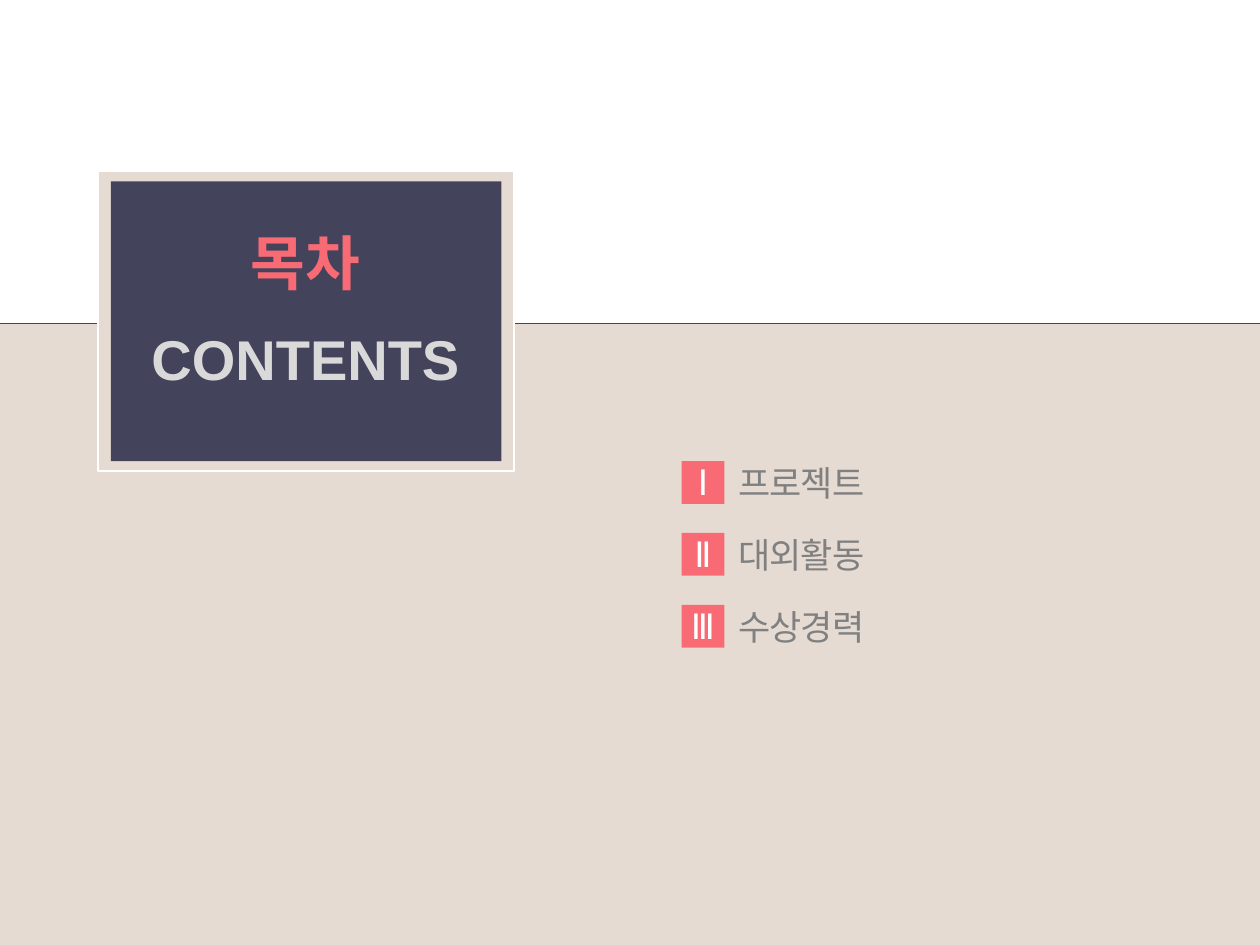
from pptx import Presentation
from pptx.dml.color import RGBColor
from pptx.enum.shapes import MSO_CONNECTOR, MSO_SHAPE
from pptx.enum.text import MSO_ANCHOR, PP_ALIGN
from pptx.oxml.ns import qn
from pptx.util import Inches, Pt
from lxml.etree import SubElement

SECTIONS = [("Ⅰ", "프로젝트"), ("Ⅱ", "대외활동"), ("Ⅲ", "수상경력")]
TITLE, SUBTITLE = "목차", "CONTENTS"
NAVY, SAND, CORAL, WHITE = "43435B", "E5DBD2", "F86B74", "FFFFFF"
GRAY, SILVER = "808080", "D9D9D9"
HORIZON = 2.57
BADGE_LEFT, BADGE_TOP, BADGE_SIZE = 5.41, 3.66, 0.34
LABEL_LEFT, LABEL_WIDTH, LABEL_HEIGHT = 5.76, 3.93, 0.44
ROW_STEP = 0.57


def color(value):
    return RGBColor.from_string(value)


def add_panel(box, fill, outline=None):
    panel = slide.shapes.add_shape(MSO_SHAPE.RECTANGLE, *map(Inches, box))
    panel.shadow.inherit = False
    panel.fill.solid()
    panel.fill.fore_color.rgb = color(fill)
    if outline:
        panel.line.color.rgb = color(outline)
        panel.line.width = Pt(1.25)
    else:
        panel.line.fill.background()
    return panel


def write(shape, text, size, ink, align, bold=False, anchor=MSO_ANCHOR.MIDDLE, wrap=True):
    frame = shape.text_frame
    frame.word_wrap = wrap
    frame.vertical_anchor = anchor
    paragraph = frame.paragraphs[0]
    paragraph.text = text
    paragraph.alignment = align
    paragraph.font.name = "Arial"
    paragraph.font.size = Pt(size)
    paragraph.font.bold = bold
    paragraph.font.color.rgb = color(ink)
    return paragraph


def add_text(box, *args, **options):
    return write(slide.shapes.add_textbox(*map(Inches, box)), *args, **options)


def tighten(paragraph):
    paragraph.space_after = Pt(10)
    paragraph.runs[0]._r.get_or_add_rPr().set("spc", "-50")


prs = Presentation()
prs.slide_width, prs.slide_height = Inches(10), Inches(7.5)
slide = prs.slides.add_slide(prs.slide_layouts[6])

add_panel((0, HORIZON, 10, 7.5 - HORIZON), SAND)
horizon = slide.shapes.add_connector(
    MSO_CONNECTOR.STRAIGHT, 0, Inches(HORIZON), Inches(10), Inches(HORIZON))
horizon.line.color.rgb = color(NAVY)
horizon.line.width = Pt(0.5)
SubElement(horizon._element.spPr, qn("a:effectLst"))
add_panel((0.78, 1.36, 3.3, 2.38), SAND, WHITE)
add_panel((0.88, 1.44, 3.1, 2.22), NAVY)

for row, (numeral, label) in enumerate(SECTIONS):
    top = BADGE_TOP + row * ROW_STEP
    label_top = top + (BADGE_SIZE - LABEL_HEIGHT) / 2
    tighten(add_text((LABEL_LEFT, label_top, LABEL_WIDTH, LABEL_HEIGHT),
                     label, 20, GRAY, PP_ALIGN.LEFT))
    badge = add_panel((BADGE_LEFT, top, BADGE_SIZE, BADGE_SIZE), CORAL)
    frame = badge.text_frame
    frame.margin_left = frame.margin_right = frame.margin_top = Inches(0.04)
    frame.margin_bottom = Inches(0.05)
    tighten(write(badge, numeral, 20, WHITE, PP_ALIGN.CENTER, wrap=False))

add_text((0.95, 1.77, 2.95, 0.61), TITLE, 34, CORAL, PP_ALIGN.CENTER, bold=True)
subtitle = add_text((0.95, 2.59, 2.95, 1), SUBTITLE, 32, SILVER, PP_ALIGN.CENTER,
                    bold=True, anchor=MSO_ANCHOR.TOP)
subtitle.line_spacing = 0.9

prs.save("out.pptx")
